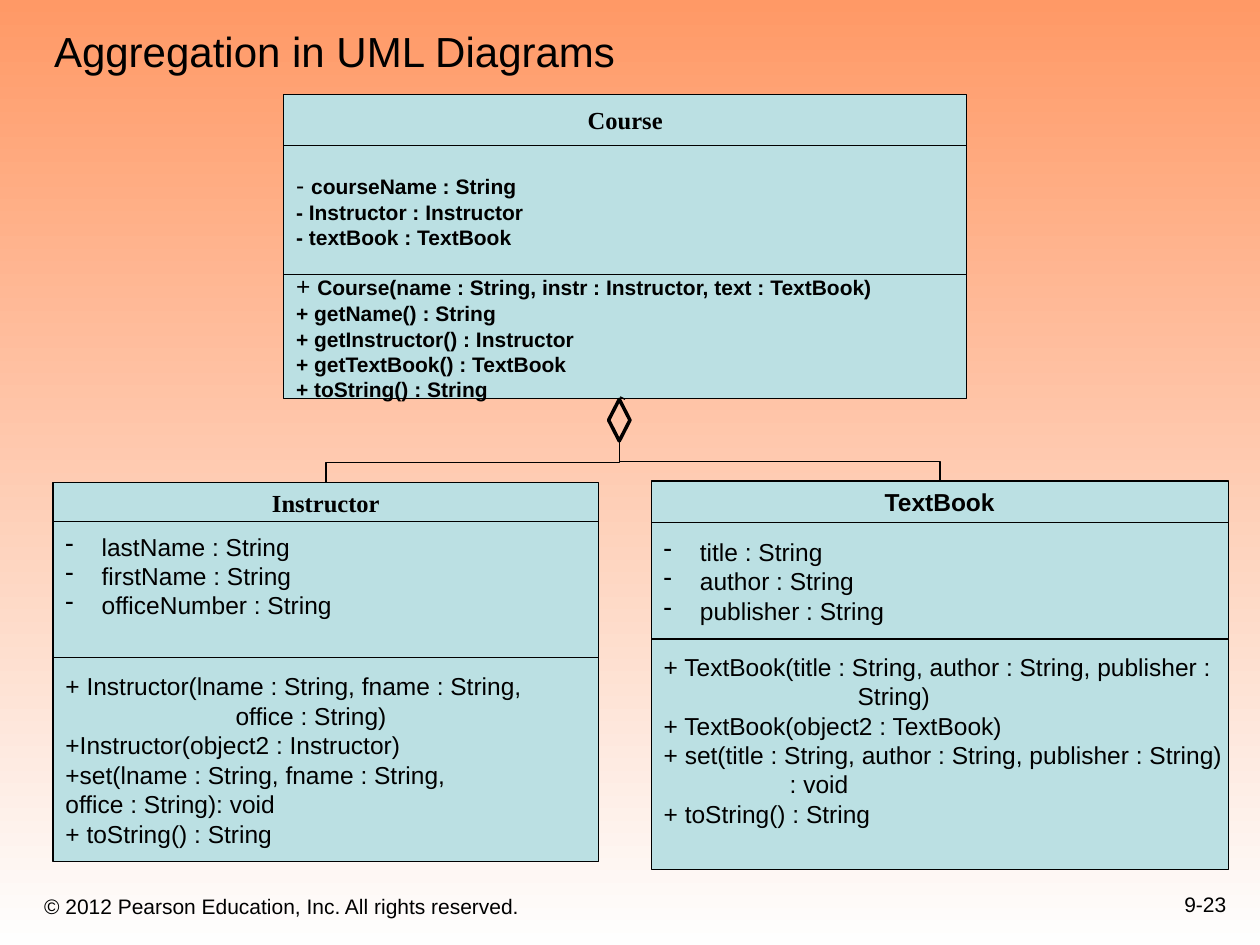
from dataclasses import dataclass

from lxml.etree import SubElement
from pptx import Presentation
from pptx.dml.color import RGBColor
from pptx.enum.shapes import MSO_CONNECTOR as Connector, MSO_SHAPE as Shape
from pptx.enum.text import MSO_ANCHOR as Anchor, PP_ALIGN as Align
from pptx.oxml.ns import qn
from pptx.util import Cm, Pt

BLACK = RGBColor(0x00, 0x00, 0x00)
PALE_BLUE = RGBColor(0xBB, 0xE0, 0xE3)
ORANGE = RGBColor(0xFF, 0x99, 0x66)
NEAR_WHITE = RGBColor(0xFE, 0xFE, 0xFE)

SIDE_INSET, END_INSET = 0.25, 0.13
BULLET_INDENT = 0.73
BLANK_LINE = 0.57


@dataclass
class Line:
    """One paragraph; mark is a lead-in sign set in larger regular type."""
    text: str
    mark: str = ""
    indent: float = 0
    bullet: bool = False


def set_indent(paragraph, line):
    properties = paragraph._p.get_or_add_pPr()
    margin = BULLET_INDENT if line.bullet else line.indent
    properties.set("marL", str(Cm(margin)))
    if line.bullet:
        properties.set("indent", str(-Cm(margin)))
        colour = SubElement(properties, qn("a:buClr"))
        SubElement(colour, qn("a:srgbClr"), val=str(BLACK))
        SubElement(properties, qn("a:buChar"), char="-")


def write_text(shape, lines, size=14, font="Arial", bold=False, align=Align.LEFT,
               anchor=Anchor.MIDDLE, right=SIDE_INSET, bottom=END_INSET):
    frame = shape.text_frame
    frame.word_wrap = True
    frame.vertical_anchor = anchor
    frame.margin_left, frame.margin_right = Cm(SIDE_INSET), Cm(right)
    frame.margin_top, frame.margin_bottom = Cm(END_INSET), Cm(bottom)
    for index, line in enumerate(lines):
        paragraph = frame.paragraphs[0] if index == 0 else frame.add_paragraph()
        paragraph.alignment = align
        set_indent(paragraph, line)
        for text, run_size, run_bold in ((line.mark, 14, False), (line.text, size, bold)):
            if text:
                run = paragraph.add_run()
                run.text = text
                run.font.name = font
                run.font.size = Pt(run_size)
                run.font.bold = run_bold
                run.font.color.rgb = BLACK


def add_label(slide, text, left, top, width, height, **text_format):
    label = slide.shapes.add_textbox(Cm(left), Cm(top), Cm(width), Cm(height))
    write_text(label, [Line(text)], anchor=Anchor.BOTTOM, **text_format)


def add_outlined(slide, kind, left, top, width, height, weight=0.75, fill=None):
    shape = slide.shapes.add_shape(kind, Cm(left), Cm(top), Cm(width), Cm(height))
    shape.shadow.inherit = False
    if fill is None:
        shape.fill.background()
    else:
        shape.fill.solid()
        shape.fill.fore_color.rgb = fill
    shape.line.color.rgb = BLACK
    shape.line.width = Pt(weight)
    return shape


def add_class(slide, left, top, width, compartments):
    """Stack compartments, each given as (height, lines, text format)."""
    for height, lines, text_format in compartments:
        box = add_outlined(slide, Shape.RECTANGLE, left, top, width, height, fill=PALE_BLUE)
        write_text(box, lines, **text_format)
        top += height


def add_line(slide, kind, start, end):
    points = [Cm(value) for value in (*start, *end)]
    connector = slide.shapes.add_connector(kind, *points)
    connector.line.color.rgb = BLACK
    connector.line.width = Pt(0.75)
    SubElement(connector._element.spPr, qn("a:effectLst"))
    return connector


def add_vertical_elbow(slide, start, end):
    """Elbow leaving start downwards: a horizontal elbow turned a quarter."""
    middle_x, middle_y = (start[0] + end[0]) / 2, (start[1] + end[1]) / 2
    half_run, half_drop = abs(end[0] - start[0]) / 2, (end[1] - start[1]) / 2
    side = 1 if end[0] < start[0] else -1
    elbow = add_line(slide, Connector.ELBOW,
                     (middle_x - side * half_drop, middle_y - half_run),
                     (middle_x + side * half_drop, middle_y + half_run))
    elbow.rotation = 90 if side == 1 else 270
    elbow._element.spPr.find(qn("a:xfrm")).set("rot", str(elbow.rotation * 60000))


def add_background(slide):
    fill = slide.background.fill
    fill.gradient()
    fill.gradient_angle = 270
    for stop, colour in zip(fill.gradient_stops, (ORANGE, NEAR_WHITE)):
        stop.color.rgb = colour


def bullets(*texts):
    return [Line(text, bullet=True) for text in texts]


def main():
    presentation = Presentation()
    presentation.slide_width, presentation.slide_height = Cm(25.4), Cm(19.05)
    slide = presentation.slides.add_slide(presentation.slide_layouts[6])
    add_background(slide)

    add_label(slide, "© 2012 Pearson Education, Inc. All rights reserved.",
              0.64, 17.58, 15.44, 1.07, size=12)
    add_label(slide, "9-23", 19.69, 17.35, 5.28, 1.27, size=12, align=Align.RIGHT)
    add_label(slide, "Aggregation in UML Diagrams", 0.84, 0.2, 23.93, 1.47, size=24)

    heading = dict(bold=True, align=Align.CENTER)
    serif_heading = dict(heading, font="Times New Roman")
    members = dict(right=0)
    course_members = dict(size=12, bold=True, right=0)
    padded_members = dict(right=0, bottom=END_INSET + BLANK_LINE)

    add_class(slide, 5.72, 1.9, 13.77, [
        (1.04, [Line("Course")], serif_heading),
        (2.59, [Line("courseName : String", mark="- "),
                Line("- Instructor : Instructor"),
                Line("- textBook : TextBook")], course_members),
        (2.51, [Line("Course(name : String, instr : Instructor, text : TextBook)", mark="+ "),
                Line("+ getName() : String"),
                Line("+ getInstructor() : Instructor"),
                Line("+ getTextBook() : TextBook"),
                Line("+ toString() : String")], course_members),
    ])
    add_class(slide, 13.13, 9.7, 11.63, [
        (0.84, [Line("TextBook")], heading),
        (2.34, bullets("title : String", "author : String", "publisher : String"), members),
        (4.65, [Line("+ TextBook(title : String, author : String, publisher :"),
                Line("String)", indent=3.91),
                Line("+ TextBook(object2 : TextBook)"),
                Line("+ set(title : String, author : String, publisher : String)"),
                Line(": void", indent=2.54),
                Line("+ toString() : String")], padded_members),
    ])
    add_class(slide, 1.07, 9.73, 11, [
        (0.79, [Line("Instructor")], serif_heading),
        (2.74, bullets("lastName : String", "firstName : String", "officeNumber : String"),
         padded_members),
        (4.11, [Line("+ Instructor(lname : String, fname : String,"),
                Line("office : String)", indent=3.43),
                Line("+Instructor(object2 : Instructor)"),
                Line("+set(lname : String, fname : String,"),
                Line("office : String): void"),
                Line("+ toString() : String")], members),
    ])

    add_outlined(slide, Shape.DIAMOND, 12.27, 8.05, 0.43, 0.84, weight=2)
    add_line(slide, Connector.STRAIGHT, (12.6, 8.05), (12.5, 8))
    junction = (12.49, 8.92)
    add_vertical_elbow(slide, junction, (18.95, 9.7))
    add_vertical_elbow(slide, junction, (6.57, 9.73))
    presentation.save("out.pptx")


if __name__ == "__main__":
    main()
